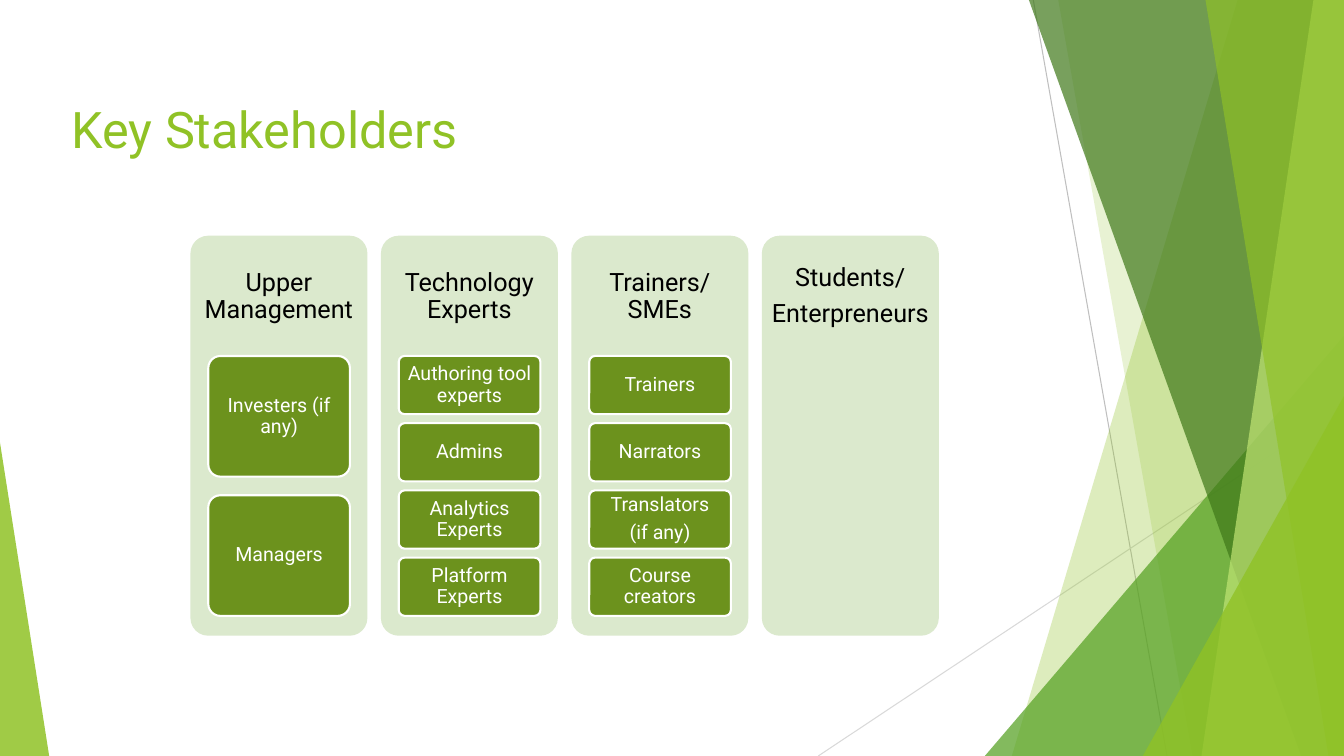
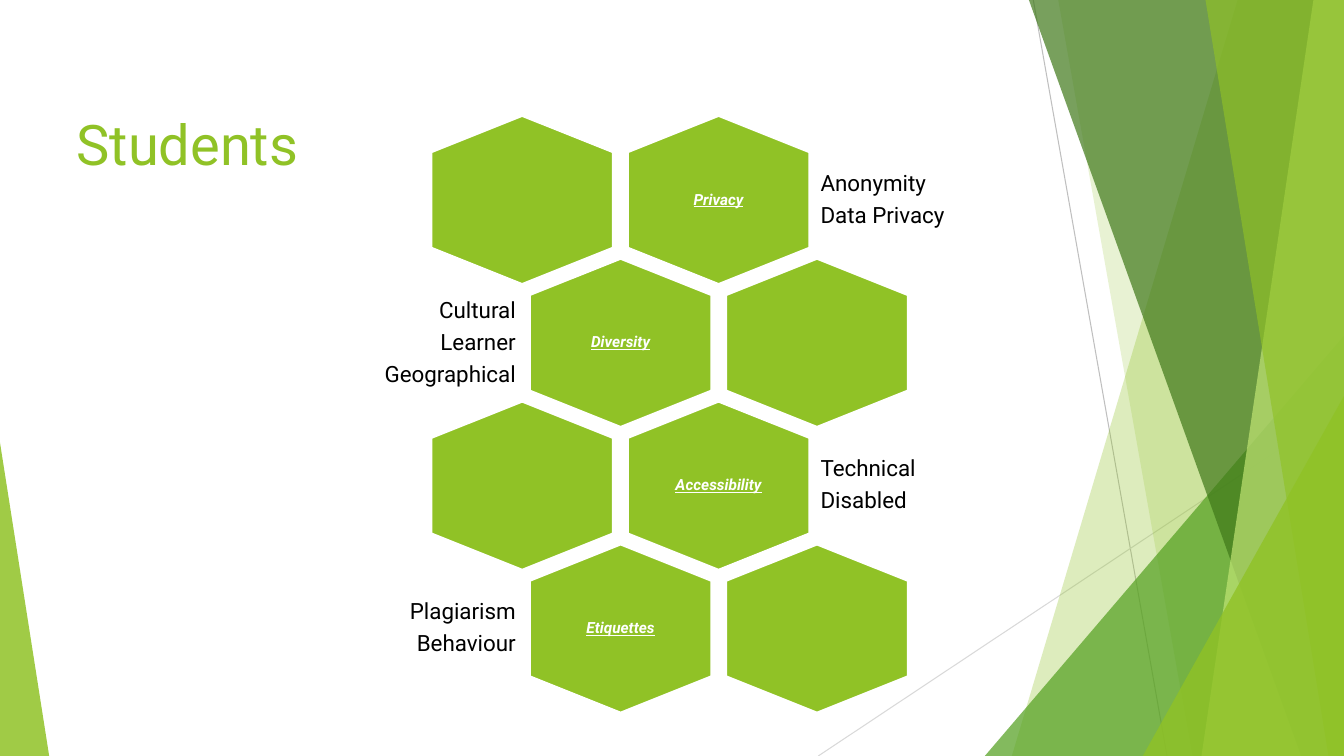
from lxml import etree
from pptx import Presentation
from pptx.dml.color import RGBColor
from pptx.enum.shapes import MSO_CONNECTOR, MSO_SHAPE
from pptx.enum.text import MSO_ANCHOR, MSO_AUTO_SIZE, PP_ALIGN
from pptx.oxml.ns import qn
from pptx.util import Cm, Pt

ROUND, TRI = MSO_SHAPE.ROUNDED_RECTANGLE, MSO_SHAPE.ISOSCELES_TRIANGLE
LINE = MSO_CONNECTOR.STRAIGHT
LEFT, MID, RIGHT = PP_ALIGN.LEFT, PP_ALIGN.CENTER, PP_ALIGN.RIGHT
TOP, CENTER, LOW = MSO_ANCHOR.TOP, MSO_ANCHOR.MIDDLE, MSO_ANCHOR.BOTTOM
FONT = "Roboto"
LIME, MOSS, PALE = "90C226", "6C921D", "DBE9CD"
WHITE, BLACK = "FFFFFF", "000000"
WIDE, HIGH = 33.87, 19.05
rgb = RGBColor.from_string


def paint(shape, fill, alpha=100, edge=None):
    """Fill a shape, with an outline only if an edge colour is given."""
    shape.shadow.inherit = False
    shape.fill.solid()
    shape.fill.fore_color.rgb = rgb(fill)
    if alpha < 100:
        tint = shape.element.xpath("./p:spPr/a:solidFill/a:srgbClr")[0]
        etree.SubElement(tint, qn("a:alpha")).set("val", str(alpha * 1000))
    if edge:
        shape.line.color.rgb = rgb(edge)
        shape.line.width = Pt(1.5)
    else:
        shape.line.fill.background()


def write(shape, lines, size, color, align=MID, anchor=CENTER,
          pad=(0.1, 0.1, 0.1, 0.1), space=0.9, strong=False):
    """Set one paragraph per line; pad is left, top, right, bottom in cm."""
    frame = shape.text_frame
    frame.word_wrap = True
    frame.auto_size = MSO_AUTO_SIZE.NONE
    frame.vertical_anchor = anchor
    (frame.margin_left, frame.margin_top,
     frame.margin_right, frame.margin_bottom) = [Cm(v) for v in pad]
    for i, text in enumerate(lines):
        para = frame.add_paragraph() if i else frame.paragraphs[0]
        para.alignment = align
        para.line_spacing = space
        para.space_after = Pt(round(size * 0.35, 1))
        run = para.add_run()
        run.text = text
        font = run.font
        font.name, font.size = FONT, Pt(size)
        font.color.rgb = rgb(color)
        if strong:
            font.bold = font.italic = font.underline = True


deck = Presentation()
deck.slide_width, deck.slide_height = Cm(WIDE), Cm(HIGH)
base = deck.slide_layouts[5]

# Titles: text, size, anchor, box
heads = [
    ("Key Stakeholders", 36, TOP, (1.55, 2.34, 23.75, 2.24)),
    ("Students", 40, LOW, (1.68, 1.02, 10.72, 3.56)),
]
pages = []
for text, size, anchor, box in heads:
    page = deck.slides.add_slide(base)
    title = page.shapes.title
    title.left, title.top, title.width, title.height = [Cm(v) for v in box]
    write(title, [text], size, LIME, LEFT, anchor,
          (0.25, 0.13, 0.25, 0.13), 1.0)
    title.text_frame.paragraphs[0].space_after = Pt(0)
    pages.append(page)
first, second = [page.shapes for page in pages]

# Shared backdrop: thin lines, then translucent bands and triangles
for color, ends in [("BFBFBF", (26.04, 0, 29.41, HIGH)),
                    ("D9D9D9", (WIDE, 10.24, 20.62, HIGH))]:
    thin = first.add_connector(LINE, *[Cm(v) for v in ends])
    thin.line.color.rgb = rgb(color)
    thin.line.width = Pt(0.75)
    etree.SubElement(thin.element.spPr, qn("a:effectLst"))

# A band has its top and foot x; a triangle has left, top, width, tip
facets = [
    (LIME, 30, (31.19, 25.5)),
    (LIME, 20, (26.67, 30.05)),
    ("54A021", 72, (24.82, 8.46, 9.05, 1)),
    ("3F7819", 70, (25.93, 32.79)),
    ("C0E474", 70, (33.1, 30.28)),
    (LIME, 65, (30.38, 33.48)),
    (LIME, 80, (28.8, 9.98, 5.07, 1)),
    (LIME, 85, (0, 11.15, 1.24, 0)),
]
for color, alpha, spot in facets:
    if len(spot) == 2:
        head, foot = spot
        path = first.build_freeform(Cm(head), 0)
        path.add_line_segments([(Cm(WIDE), 0), (Cm(WIDE), Cm(HIGH)),
                                (Cm(foot), Cm(HIGH))])
        facet = path.convert_to_shape()
    else:
        x, y, w, tip = spot
        facet = first.add_shape(TRI, Cm(x), Cm(y), Cm(w), Cm(HIGH - y))
        facet.adjustments[0] = tip
    paint(facet, color, alpha)

# Move the backdrop to the layout, behind its placeholders
tree = base.shapes.element
for i, part in enumerate(list(first)[1:]):
    part.element.xpath(".//p:cNvPr")[0].set("id", str(20 + i))
    tree.insert(2 + i, part.element)

# Slide 1: a panel per group, its boxes sharing the same height
groups = [
    (["Upper Management"], [["Investers (if any)"], ["Managers"]]),
    (["Technology Experts"], [["Authoring tool experts"], ["Admins"],
                              ["Analytics Experts"], ["Platform Experts"]]),
    (["Trainers/SMEs"], [["Trainers"], ["Narrators"],
                         ["Translators", "(if any)"], ["Course creators"]]),
    (["Students/", "Enterpreneurs"], []),
]
GAP = 0.154  # share of a box's height
for i, (name, boxes) in enumerate(groups):
    x = 4.8 + 4.8 * i
    panel = first.add_shape(ROUND, Cm(x), Cm(5.94), Cm(4.46), Cm(10.08))
    panel.adjustments[0] = 0.1
    paint(panel, PALE)
    write(panel, name, 18, BLACK, pad=(0.1, 0.05, 0.1, 7.06))
    count = len(boxes)
    for j, lines in enumerate(boxes):
        h = 6.55 / (count + GAP * (count - 1))
        y = 8.97 + j * h * (1 + GAP)
        box = first.add_shape(ROUND, Cm(x + 0.45), Cm(y), Cm(3.57), Cm(h))
        box.adjustments[0] = 0.1
        paint(box, MOSS, edge=WHITE)
        write(box, lines, 14, WHITE, pad=(0.1, 0.08, 0.1, 0.08))

# Slide 2: staggered rows of two hexagons, one of them named
topics = [
    ("Privacy", ["Anonymity", "Data Privacy"]),
    ("Diversity", ["Cultural", "Learner", "Geographical"]),
    ("Accessibility", ["Technical", "Disabled"]),
    ("Etiquettes", ["Plagiarism", "Behaviour"]),
]
W, H = 4.58, 4.24
CORNERS = [(0.5, 0), (1, 0.216), (1, 0.784), (0.5, 1), (0, 0.784), (0, 0.216)]
for row, (name, notes) in enumerate(topics):
    odd = row % 2
    y = 2.92 + 3.6 * row
    for col in range(2):
        x = 10.87 + 2.48 * odd + 4.95 * col
        spots = [(Cm(x + a * W), Cm(y + b * H)) for a, b in CORNERS]
        path = second.build_freeform(*spots[0])
        path.add_line_segments(spots[1:])
        cell = path.convert_to_shape()
        paint(cell, LIME, edge=WHITE)
        if col != odd:
            write(cell, [name], 11, WHITE, pad=(0.6, 0.7, 0.6, 0.7),
                  strong=True)
    # Notes stand left of odd rows and right of even ones
    left, width, align = (7.44, 5.69, RIGHT) if odd else (20.55, 5.89, LEFT)
    note = second.add_textbox(Cm(left), Cm(y + 0.85), Cm(width), Cm(2.54))
    write(note, notes, 16, BLACK, align, pad=(0.13, 0.13, 0.13, 0.13))

deck.save("out.pptx")
